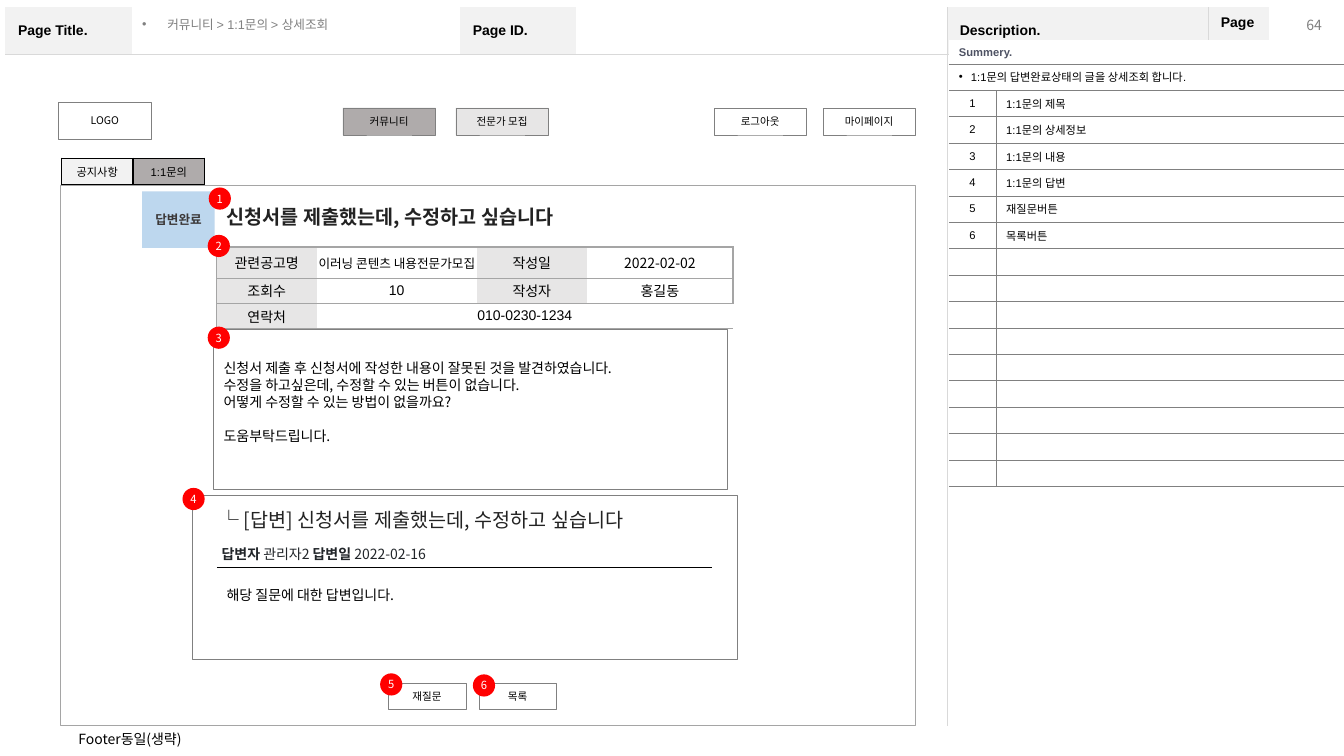
from lxml.etree import SubElement
from pptx import Presentation
from pptx.dml.color import RGBColor
from pptx.enum.shapes import MSO_CONNECTOR, MSO_SHAPE
from pptx.enum.text import MSO_ANCHOR, PP_ALIGN
from pptx.oxml.ns import qn
from pptx.util import Inches, Pt

COLORS = {
    "white": "FFFFFF", "black": "000000", "pale": "F2F2F2", "light": "E7E6E6",
    "selected": "AFABAB", "hairline": "D9D9D9", "frame": "A5A5A5", "line": "808080",
    "number": "7F7F7F", "summary": "4E5263", "status": "BDD7EE", "status_text": "3B3838",
    "heading": "222222", "meta": "212529", "badge": "FF0000",
}
SANS, KOREAN = "Arial", "Noto Sans CJK KR"
GRID = 0.1
PLAIN_TABLE = "{2D5ABB26-0587-4C30-8999-92F81FD0307C}"
LEFT, CENTER, RIGHT, JUSTIFY = PP_ALIGN.LEFT, PP_ALIGN.CENTER, PP_ALIGN.RIGHT, PP_ALIGN.JUSTIFY
TOP, MIDDLE = MSO_ANCHOR.TOP, MSO_ANCHOR.MIDDLE


def grid(cells):
    return Inches(cells * GRID)


def rgb(name):
    return RGBColor.from_string(COLORS[name])


class Wireframe:
    def __init__(self, slide):
        self.slide = slide

    def bullet(self, paragraph, indent):
        properties = paragraph._p.get_or_add_pPr()
        properties.set("marL", str(grid(indent)))
        properties.set("indent", str(-grid(indent)))
        SubElement(properties, qn("a:buFont")).set("typeface", SANS)
        SubElement(properties, qn("a:buChar")).set("char", "•")

    def style(self, paragraph, size, color="black", bold=False, font=KOREAN, align=LEFT, bullet=0):
        if bullet:
            self.bullet(paragraph, bullet)
        paragraph.alignment = align
        paragraph.font.size = Pt(size)
        paragraph.font.bold = bold
        paragraph.font.name = font
        paragraph.font.color.rgb = rgb(color)
        if not paragraph.runs:
            SubElement(paragraph._p, qn("a:endParaRPr")).set("sz", str(round(size * 100)))

    def fill_text(self, frame, text, anchor=TOP, margins=(1, 0.5), wrap=True, **style):
        frame.word_wrap = wrap
        frame.vertical_anchor = anchor
        frame.margin_left = frame.margin_right = grid(margins[0])
        frame.margin_top = frame.margin_bottom = grid(margins[1])
        frame.text = text
        for paragraph in frame.paragraphs:
            self.style(paragraph, **style)
        return frame

    def title(self, place, text, **options):
        title = self.slide.shapes.title
        title.left, title.top, title.width, title.height = map(grid, place)
        self.fill_text(title.text_frame, text, MIDDLE, **options)

    def text(self, place, text, **options):
        box = self.slide.shapes.add_textbox(*map(grid, place))
        return self.fill_text(box.text_frame, text, **options)

    def shape(self, place, fill=None, line=None, width=0.75, kind=MSO_SHAPE.RECTANGLE):
        shape = self.slide.shapes.add_shape(kind, *map(grid, place))
        shape.shadow.inherit = False
        if fill:
            shape.fill.solid()
            shape.fill.fore_color.rgb = rgb(fill)
        else:
            shape.fill.background()
        if line:
            shape.line.color.rgb = rgb(line)
            shape.line.width = Pt(width)
        else:
            shape.line.fill.background()
        return shape

    def button(self, place, label, fill="white"):
        button = self.shape(place, fill, "line", 0.25)
        self.fill_text(button.text_frame, label, MIDDLE, (0, 0), False, size=7.5, align=CENTER)

    def badge(self, left, top, number):
        badge = self.shape((left, top, 2.2, 2.2), "badge", kind=MSO_SHAPE.OVAL)
        self.fill_text(badge.text_frame, str(number), MIDDLE, (0, 0), False,
                       size=8, color="white", align=CENTER)

    def rule(self, left, top, right):
        rule = self.slide.shapes.add_connector(
            MSO_CONNECTOR.STRAIGHT, grid(left), grid(top), grid(right), grid(top))
        rule.line.color.rgb = rgb("black")
        rule.line.width = Pt(0.5)
        SubElement(rule._element.spPr, qn("a:effectLst"))

    def table(self, left, top, columns, rows):
        table = self.slide.shapes.add_table(
            len(rows), len(columns), grid(left), grid(top),
            grid(sum(columns)), grid(sum(rows))).table
        table.first_row = table.horz_banding = False
        table._tbl.tblPr.find(qn("a:tableStyleId")).text = PLAIN_TABLE
        for column, width in zip(table.columns, columns):
            column.width = grid(width)
        for row, height in zip(table.rows, rows):
            row.height = grid(height)
        return table

    def cell(self, cell, text="", fill=None, edges="", edge="line", width=0.25,
             margins=(1, 0.5), **style):
        properties = cell._tc.get_or_add_tcPr()
        for side in "LRTB":
            if side in edges:
                border = SubElement(properties, qn(f"a:ln{side}"), w=str(Pt(width)))
                paint = SubElement(border, qn("a:solidFill"))
                SubElement(paint, qn("a:srgbClr")).set("val", COLORS[edge])
        if fill:
            cell.fill.solid()
            cell.fill.fore_color.rgb = rgb(fill)
        else:
            cell.fill.background()
        cell.vertical_anchor = MIDDLE
        cell.margin_left = cell.margin_right = grid(margins[0])
        cell.margin_top = cell.margin_bottom = grid(margins[1])
        cell.text = text
        self.style(cell.text_frame.paragraphs[0], **{"size": 8, "font": SANS, **style})


def draw_header(page):
    header = page.table(0.5, 0.7, (12.6, 32.5, 11.5, 36.8, 25.9, 6.1, 6.8), (4.7, 66.6))
    labels = ("Page Title.", "", "Page ID.", "", "Description.", "Page.", "")
    for column, label in enumerate(labels):
        for row, text in enumerate((label, "")):
            sides = "BT"[row] + {3: "R", 4: "L"}.get(column, "")
            page.cell(header.cell(row, column), text, "pale" if text else None, sides,
                      "hairline", margins=(1.3, 0.7), size=10, bold=True)
    header.cell(1, 0).merge(header.cell(1, 3))
    header.cell(1, 4).merge(header.cell(1, 6))
    page.text((126.1, 1, 6, 3), "64", anchor=MIDDLE, size=10, color="number", align=RIGHT)
    page.title((13.1, 1.2, 32.4, 2.4), "커뮤니티 > 1:1문의 > 상세조회",
               size=9, color="line", font=SANS, bullet=2.5)


def draw_description(page):
    notes = ("1:1문의 제목", "1:1문의 상세정보", "1:1문의 내용", "1:1문의 답변", "재질문버튼", "목록버튼")
    spare_rows = 9
    table = page.table(94.1, 4, (4.7, 34.6), (2.2,) + (2.62,) * (1 + len(notes) + spare_rows))
    for row, (text, look) in enumerate((
        ("Summery.", {"fill": "white", "color": "summary", "bold": True}),
        ("1:1문의 답변완료상태의 글을 상세조회 합니다.", {"align": JUSTIFY, "bullet": 1.2}),
    )):
        table.cell(row, 0).merge(table.cell(row, 1))
        page.cell(table.cell(row, 0), text, edges="B", **look)
        page.cell(table.cell(row, 1), edges="B")
    for index, note in enumerate(notes + ("",) * spare_rows):
        number = str(index + 1) if note else ""
        page.cell(table.cell(index + 2, 0), number, edges="TBR", align=CENTER)
        page.cell(table.cell(index + 2, 1), note, edges="LTB", align=JUSTIFY)


def draw_navigation(page):
    page.button((5.8, 10.1, 9.2, 3.7), "LOGO")
    for left, label, fill in ((34, "커뮤니티", "selected"), (45.2, "전문가 모집", "light"),
                              (70.8, "로그아웃", "white"), (81.6, "마이페이지", "white")):
        page.button((left, 10.7, 9.2, 2.7), label, fill)
    page.shape((6, 18.4, 84.8, 53.6), line="frame")
    page.text((6.8, 72, 21, 2.7), "Footer동일(생략)", size=10)
    tabs = page.table(6.1, 15.7, (7.1, 7.1), (2.6,))
    for column, (label, fill) in enumerate((("공지사항", "pale"), ("1:1문의", "selected"))):
        page.cell(tabs.cell(0, column), label, fill, "LRTB", "black", 1, (0, 0), align=CENTER)


def draw_question(page):
    page.text((21.5, 19.8, 38, 3.4), "신청서를 제출했는데, 수정하고 싶습니다",
              wrap=False, size=14, color="heading", bold=True)
    status = page.shape((14.1, 19, 7.2, 5.6), "status")
    page.fill_text(status.text_frame, "답변완료", MIDDLE, size=9, color="status_text",
                   bold=True, align=CENTER)
    details = (("관련공고명", "이러닝 콘텐츠 내용전문가모집", "작성일", "2022-02-02"),
               ("조회수", "10", "작성자", "홍길동"),
               ("연락처", "010-0230-1234", "", ""))
    table = page.table(21.5, 24.5, (9.9, 15.9, 10.9, 14.5), (3.1, 2.5, 2.5))
    for row, texts in enumerate(details):
        for column, text in enumerate(texts):
            label = text and column % 2 == 0
            page.cell(table.cell(row, column), text, "light" if label else "white",
                      "TB" + {0: "L", 3: "R"}.get(column, ""), "frame", 1, (0.1, 0.05),
                      size=9 if (row, column) == (0, 1) else 10, align=CENTER,
                      font=KOREAN if row == 0 and column > 1 else SANS)
    table.cell(2, 1).merge(table.cell(2, 3))
    question = page.shape((21.2, 32.7, 51, 15.9), "white", "line")
    body = page.fill_text(question.text_frame, "\n".join((
        "신청서 제출 후 신청서에 작성한 내용이 잘못된 것을 발견하였습니다.",
        "수정을 하고싶은데, 수정할 수 있는 버튼이 없습니다.",
        "어떻게 수정할 수 있는 방법이 없을까요?",
        "도움부탁드립니다.")), margins=(1, 3), size=10)
    body.paragraphs[-1].space_before = Pt(12)


def draw_answer(page):
    page.shape((19.1, 49.2, 54.1, 16.2), line="line")
    page.text((20.8, 49.9, 50.7, 3.4), "└ [답변] 신청서를 제출했는데, 수정하고 싶습니다",
              size=14, color="heading")
    meta = page.text((21, 53.6, 37.1, 2.7), "", size=10, color="meta").paragraphs[0]
    for part, bold in (("답변자", True), (" 관리자2 ", False), ("답변일 ", True), ("2022-02-16", False)):
        run = meta.add_run()
        run.text = part
        run.font.bold = bold
    page.rule(21.5, 56.3, 70.6)
    page.text((21.5, 57.7, 19.6, 4.4), "해당 질문에 대한 답변입니다.", size=10)
    for left, label in ((38.5, "재질문"), (47.5, "목록")):
        page.button((left, 67.8, 7.7, 2.6), label)


def main():
    deck = Presentation()
    deck.slide_width, deck.slide_height = Inches(13.33), Inches(7.5)
    page = Wireframe(deck.slides.add_slide(deck.slide_layouts[5]))
    for draw in (draw_header, draw_description, draw_navigation, draw_question, draw_answer):
        draw(page)
    badges = ((20.7, 18.6), (20.6, 23.3), (20.6, 32.4), (18.1, 48.4), (37.7, 66.8), (46.9, 66.9))
    for number, (left, top) in enumerate(badges, 1):
        page.badge(left, top, number)
    deck.save("out.pptx")


if __name__ == "__main__":
    main()
